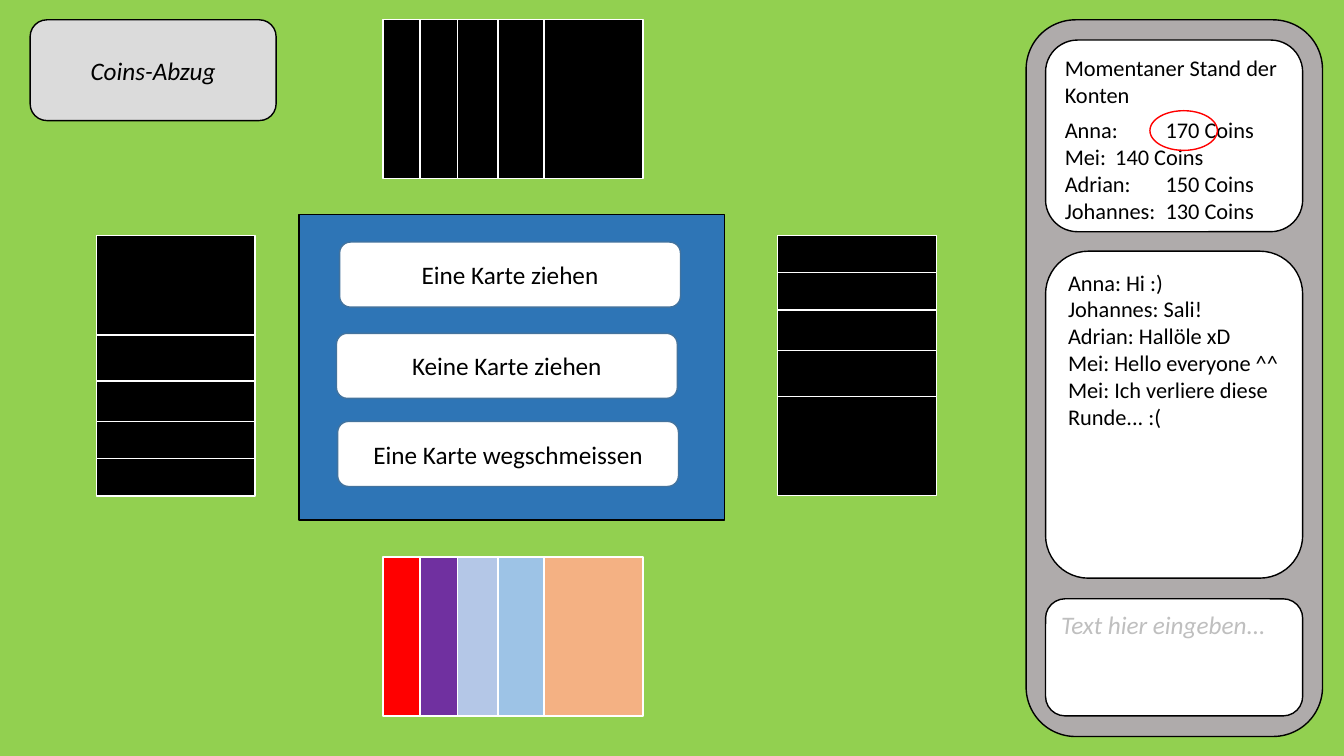
"""Build the card game slide with hands, choices, accounts and chat."""
from dataclasses import dataclass

from pptx import Presentation
from pptx.dml.color import RGBColor
from pptx.enum.shapes import MSO_SHAPE as Kind
from pptx.enum.text import MSO_ANCHOR as Anchor, PP_ALIGN as Align
from pptx.util import Cm, Pt


@dataclass(frozen=True)
class Theme:
    font: str = "Calibri"
    body: int = 16
    large: int = 18
    black: str = "000000"
    white: str = "FFFFFF"
    felt: str = "92D050"
    panel: str = "AFABAB"
    label: str = "DBDBDB"
    hint: str = "BFBFBF"
    board: str = "2E75B6"
    edge: str = "43739E"
    mark: str = "FF0000"
    cards: tuple = ("FF0000", "7030A0", "B4C7E7", "9DC3E6", "F4B183")


theme = Theme()


def draw(shapes, kind, box, fill, line):
    shape = shapes.add_shape(kind, *(Cm(side) for side in box))
    shape.shadow.inherit = False
    if fill:
        shape.fill.solid()
        shape.fill.fore_color.rgb = RGBColor.from_string(fill)
    else:
        shape.fill.background()
    shape.line.color.rgb = RGBColor.from_string(line)
    shape.line.width = Pt(1)
    return shape


def write(shape, lines, size, color=theme.black, italic=False, center=False):
    frame = shape.text_frame
    frame.word_wrap = True
    frame.vertical_anchor = Anchor.MIDDLE if center else Anchor.TOP
    frame.text = "\n".join(lines)
    for par in frame.paragraphs:
        par.alignment = Align.CENTER if center else Align.LEFT
        par.font.name = theme.font
        par.font.size = Pt(size)
        par.font.italic = italic
        par.font.color.rgb = RGBColor.from_string(color)
    return frame


deck = Presentation()
deck.slide_width, deck.slide_height = Cm(33.87), Cm(19.05)
slide = deck.slides.add_slide(deck.slide_layouts[6])
shapes = slide.shapes

draw(shapes, Kind.RECTANGLE, (0, 0, 33.87, 19.05), theme.felt, theme.felt)
draw(shapes, Kind.ROUNDED_RECTANGLE, (25.86, 0.5, 7.47, 18.06), theme.panel, theme.black)

chat, entry, funds = (
    draw(shapes, Kind.ROUNDED_RECTANGLE, (26.35, top, 6.48, height), theme.white, theme.black)
    for top, height in ((6.33, 8.24), (15.09, 2.95), (1.01, 4.83))
)
write(chat, (
    "Anna: Hi :)",
    "Johannes: Sali!",
    "Adrian: Hallöle xD",
    "Mei: Hello everyone ^^",
    "Mei: Ich verliere diese Runde... :(",
), theme.body)
write(entry, ["Text hier eingeben..."], theme.large, theme.hint, italic=True)
stand = write(funds, (
    "Momentaner Stand der Konten",
    "Anna: \t170 Coins",
    "Mei:\t140 Coins",
    "Adrian:\t150 Coins",
    "Johannes:\t130 Coins",
), theme.body)
stand.paragraphs[0].space_after = Pt(6)

steps = (0, 0.94, 1.88, 2.9, 4.06)
hidden = (theme.black,) * len(steps)
hands = (
    (9.65, 0.5, 1, 0, 0, hidden),
    (3.18, 9.25, 0, -1, 270, hidden),
    (9.65, 14.04, 1, 0, 0, theme.cards),
    (20.35, 5.18, 0, 1, 90, hidden),
)
for left, top, across, down, turn, fills in hands:
    hand = shapes.add_group_shape().shapes
    for step, fill in zip(steps, fills):
        box = (left + across * step, top + down * step, 2.5, 4)
        card = draw(hand, Kind.RECTANGLE, box, fill, theme.white)
        card.rotation = turn

draw(shapes, Kind.RECTANGLE, (7.54, 5.41, 10.72, 7.7), theme.board, theme.black)
choices = (
    (8.51, 10.62, "Eine Karte wegschmeissen"),
    (8.56, 6.1, "Eine Karte ziehen"),
    (8.48, 8.4, "Keine Karte ziehen"),
)
for left, top, text in choices:
    choice = draw(shapes, Kind.ROUNDED_RECTANGLE, (left, top, 8.59, 1.64), theme.white, theme.edge)
    write(choice, [text], theme.large, center=True)

draw(shapes, Kind.OVAL, (28.98, 2.79, 1.7, 1), None, theme.mark)
title = draw(shapes, Kind.ROUNDED_RECTANGLE, (0.76, 0.5, 6.2, 2.54), theme.label, theme.black)
write(title, ["Coins-Abzug"], theme.large, italic=True, center=True)

deck.save("out.pptx")
